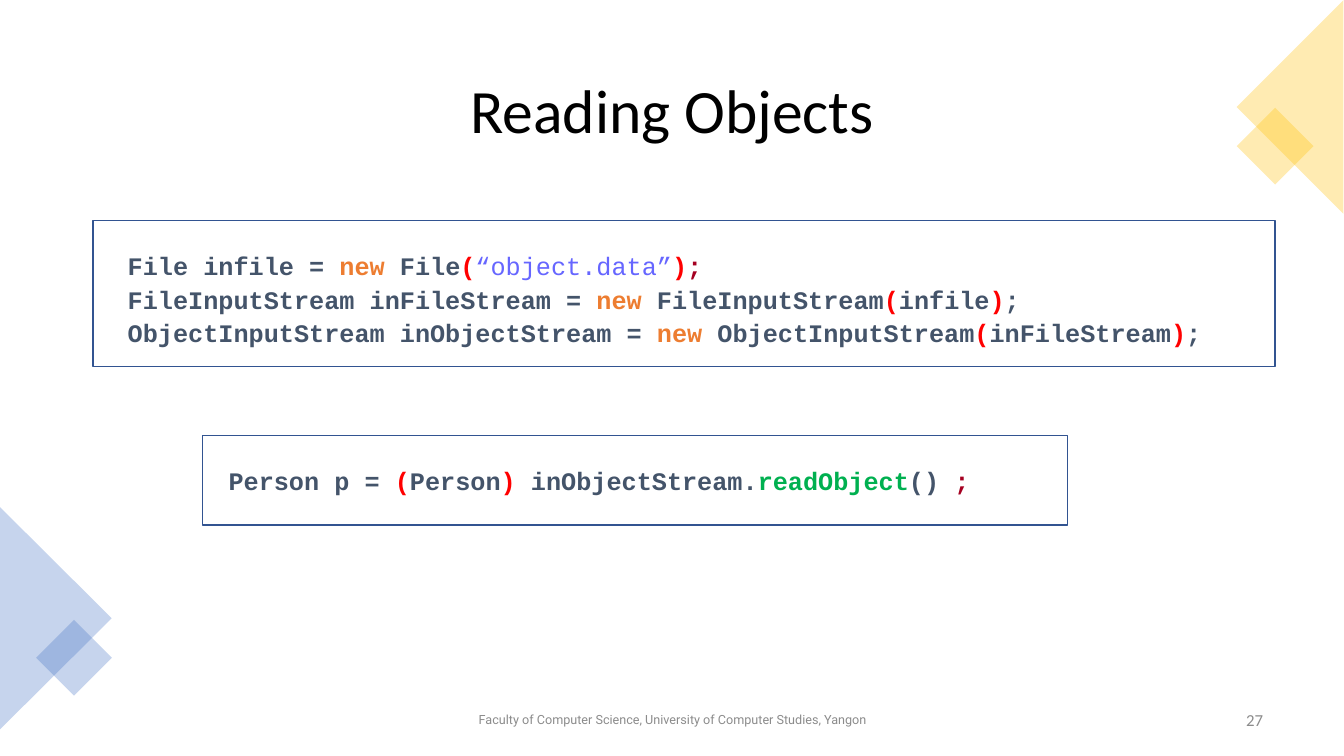
from lxml import etree
from pptx import Presentation
from pptx.dml.color import RGBColor
from pptx.enum.shapes import MSO_SHAPE
from pptx.enum.text import MSO_ANCHOR, PP_ALIGN
from pptx.oxml.ns import qn
from pptx.util import Cm, Pt

RECT, TRIANGLE = MSO_SHAPE.RECTANGLE, MSO_SHAPE.ISOSCELES_TRIANGLE
LEFT, CENTER, RIGHT = PP_ALIGN.LEFT, PP_ALIGN.CENTER, PP_ALIGN.RIGHT
TOP, MIDDLE = MSO_ANCHOR.TOP, MSO_ANCHOR.MIDDLE

BLUE, GOLD, FRAME = "4472C4", "FFC000", "325491"
BLACK, GREY = "000000", "8C8C8C"
SLATE, ORANGE, RED = "44546A", "ED7D31", "FF0000"
VIOLET, GREEN, MAROON = "6666FF", "00B050", "A50021"

# Each line of code is a list of (text, colour) pieces
OPEN_STREAMS = [
    [("File infile = ", SLATE), ("new", ORANGE), (" File", SLATE), ("(", RED),
     ("“object.data”", VIOLET), (")", RED), (";", MAROON)],
    [("FileInputStream inFileStream = ", SLATE), ("new", ORANGE),
     (" FileInputStream", SLATE), ("(", RED), ("infile", SLATE), (")", RED), (";", SLATE)],
    [("ObjectInputStream inObjectStream = ", SLATE), ("new", ORANGE),
     (" ObjectInputStream", SLATE), ("(", RED), ("inFileStream", SLATE),
     (")", RED), (";", SLATE)],
]
READ_PERSON = [
    [("Person p = ", SLATE), ("(", RED), ("Person", SLATE), (") ", RED),
     ("inObjectStream.", SLATE), ("readObject", GREEN), ("() ", SLATE), (";", MAROON)],
]


def rgb(value):
    return RGBColor.from_string(value)


def add_corner_shape(s, kind, box, rotation, color):
    """Add a rotated, 30 % opaque decoration."""
    sp = s.shapes.add_shape(kind, *map(Cm, box))
    sp.rotation = rotation
    sp.shadow.inherit = False
    sp.line.fill.background()
    sp.fill.solid()
    sp.fill.fore_color.rgb = rgb(color)
    clr = sp.fill._xPr.find(qn("a:solidFill"))[0]
    etree.SubElement(clr, qn("a:alpha")).set("val", "30000")


def add_frame(s, box):
    sp = s.shapes.add_shape(RECT, *map(Cm, box))
    sp.shadow.inherit = False
    sp.fill.background()
    sp.line.color.rgb = rgb(FRAME)
    sp.line.width = Pt(1)


def add_text_frame(s, box, anchor):
    tf = s.shapes.add_textbox(*map(Cm, box)).text_frame
    tf.word_wrap = True
    tf.vertical_anchor = anchor
    return tf


def add_label(s, box, text, font, size, color, align):
    tf = add_text_frame(s, box, MIDDLE)
    tf.text = text
    p = tf.paragraphs[0]
    p.alignment = align
    p.line_spacing = 0.9
    r = p.runs[0]
    r.font.name, r.font.size = font, Pt(size)
    r.font.color.rgb = rgb(color)


def add_code(s, box, lines):
    tf = add_text_frame(s, box, TOP)
    for i, pieces in enumerate(lines):
        p = tf.add_paragraph() if i else tf.paragraphs[0]
        p.alignment = LEFT
        p.line_spacing = 0.9
        p.space_before = Pt(4.5 if i else 0)
        for text, color in pieces:
            r = p.add_run()
            r.text = text
            r.font.name, r.font.size = "Courier New", Pt(18)
            r.font.bold = color != VIOLET
            r.font.color.rgb = rgb(color)


def main():
    prs = Presentation()
    prs.slide_width, prs.slide_height = Cm(33.87), Cm(19.05)
    s = prs.slides.add_slide(prs.slide_layouts[6])

    # Corner decorations
    add_corner_shape(s, TRIANGLE, (-1.4, 14.17, 5.61, 2.82), 90, BLUE)
    add_corner_shape(s, RECT, (1.19, 15.9, 1.35, 1.35), 45, BLUE)
    add_corner_shape(s, RECT, (31.45, 3, 1.37, 1.37), 45, GOLD)
    add_corner_shape(s, TRIANGLE, (29.82, 1.35, 5.38, 2.69), 270, GOLD)

    # Footer, slide number and title
    add_label(s, (11.23, 17.65, 11.43, 1.02),
              "Faculty of Computer Science, University of Computer Studies, Yangon",
              "Roboto", 9, GREY, CENTER)
    add_label(s, (24.46, 17.65, 7.62, 1.02), "27", "Calibri", 12, GREY, RIGHT)
    add_label(s, (2.34, 1.02, 29.21, 3.68), "Reading Objects", "Calibri", 44, BLACK, CENTER)

    # Framed code
    add_frame(s, (2.34, 5.56, 29.79, 3.68))
    add_code(s, (2.97, 6.27, 29.18, 2.67), OPEN_STREAMS)
    add_frame(s, (5.11, 10.97, 21.79, 2.26))
    add_code(s, (5.51, 11.68, 21.39, 0.97), READ_PERSON)

    prs.save("out.pptx")


if __name__ == "__main__":
    main()
